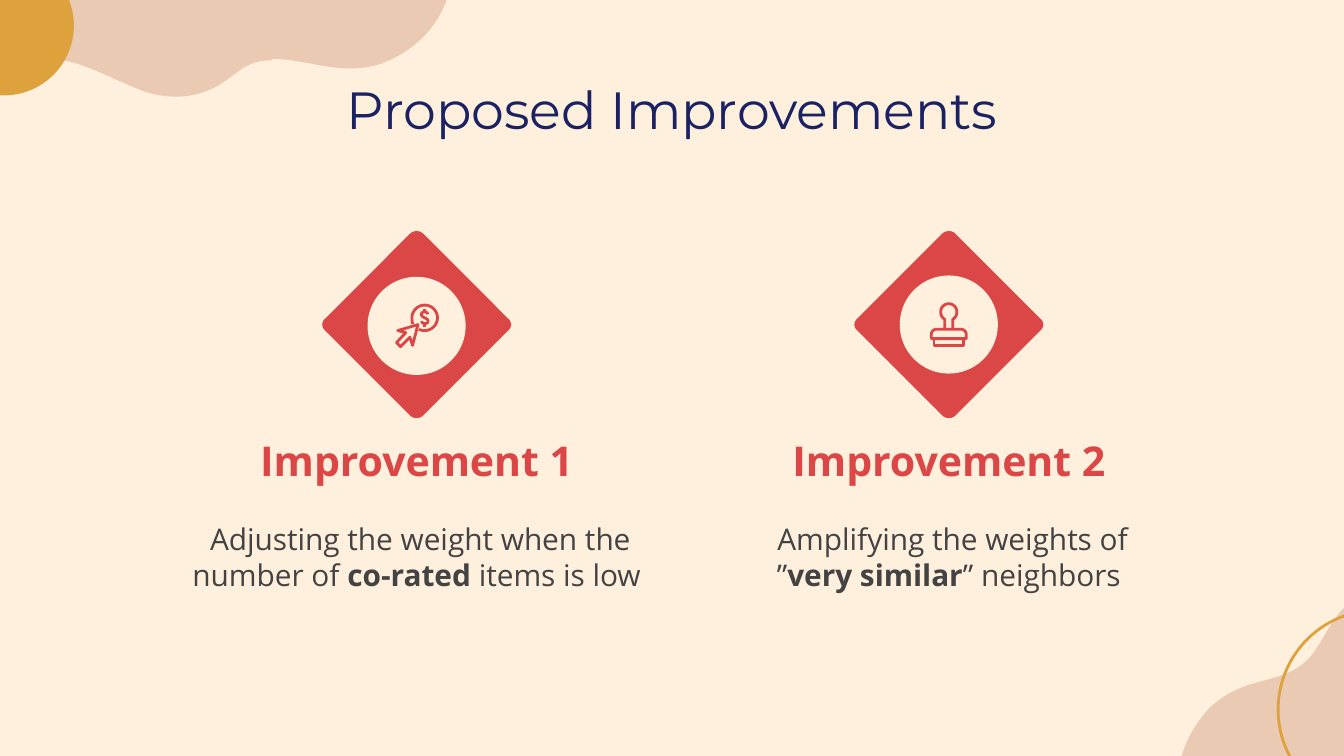
from pptx import Presentation
from pptx.dml.color import RGBColor
from pptx.enum.shapes import MSO_SHAPE as Preset
from pptx.enum.text import MSO_ANCHOR as Anchor, PP_ALIGN as Align
from pptx.util import Inches, Pt

COLORS = {
    "cream": "FFF0DE", "blush": "EBCAB3", "gold": "DEA23C",
    "red": "DB4646", "navy": "1A2263", "gray": "434343",
}
PAGE_WIDTH = Inches(10)
PAGE_HEIGHT = PAGE_WIDTH * 9 // 16
COLUMNS = 1000
UNIT = PAGE_WIDTH // COLUMNS
CURVE_STEPS = 12

TOP_WAVE = """M 132 72 C 142 72 153 69 162 64 C 177 55 183 45 201 45
C 202 45 202 44 203 44 C 223 44 241 51 260 51 C 268 51 277 50 285 47
C 310 37 326 20 334 -4 L -2 -4 L -2 52 C -1 52 -1 52 0 52
C 13 46 24 44 35 44 C 58 44 75 55 102 66 C 111 70 121 72 132 72 Z"""
CORNER_WAVE = """M 894 534 C 895 532 896 532 897 530 C 905 521 916 514 928 510
C 940 506 954 504 965 497 C 979 489 984 473 993 461 C 998 453 1006 446 1015 445
C 1034 444 1040 462 1041 477 C 1041 496 1032 515 1023 531
C 1014 546 1004 560 992 572 C 974 588 951 603 929 610
C 912 614 892 608 883 593 C 871 574 882 549 894 534 Z"""
DIAMOND = """M 0 -69.5 C -2 -69.5 -3.5 -69 -5 -67.5 L -68 -4.5
C -71 -2 -71 2 -68 4.5 L -5 67.5 C -3.5 69 -2 69.5 0 69.5
C 2 69.5 3.5 69 5 67.5 L 68 4.5 C 71 2 71 -2 68 -4.5 L 5 -67.5
C 3.5 -69 2 -69.5 0 -69.5 Z"""
STAMP = """M -3 3.5 L -3 -4 C -5 -5 -6 -7 -6 -9.5 C -6 -13 -3 -15.5 0 -15.5
C 3 -15.5 6 -13 6 -9.5 C 6 -7 5 -5 3 -4 L 3 3.5
M -13 10.5 L -13 7.5 C -13 5 -11 3.5 -9 3.5 L 9 3.5 C 11 3.5 13 5 13 7.5 L 13 10.5 Z
M -11 10.5 L -11 15.5 L 11 15.5 L 11 10.5"""
DOLLAR = """M 8.2 -8.5 C 8.2 -11 3.5 -11 3.5 -8.5 C 3.5 -6 8.5 -6 8.5 -3.5
C 8.5 -1 3.8 -1 3.8 -3.5 M 6 -12.5 L 6 -10.5 M 6 -1.5 L 6 0.5"""
COIN_CLICK = """M -3 -1.5 C -3.3 -3 -3.5 -4.5 -3.5 -6 C -3.5 -11.2 0.8 -15.5 6 -15.5
C 11.2 -15.5 15.5 -11.2 15.5 -6 C 15.5 -0.8 11.2 3.5 6 3.5 C 4.5 3.5 3 3.2 1.7 2.5
M 1 -1 L -14 3.5 L -8 5 L -15 12.5 L -12 15.5 L -5 8.5 L -3 14.5 Z"""


def paint(shape, fill=None, line=None):
    shape.shadow.inherit = False
    if fill:
        shape.fill.solid()
        shape.fill.fore_color.rgb = RGBColor.from_string(COLORS[fill])
    else:
        shape.fill.background()
    if line:
        shape.line.color.rgb = RGBColor.from_string(COLORS[line])
        shape.line.width = Pt(1.5)
    else:
        shape.line.fill.background()


def trace(outline):
    tokens = iter(outline.split())
    contours = []

    def point():
        return float(next(tokens)), float(next(tokens))

    for command in tokens:
        if command == "M":
            points = [point()]
            contours.append([points, False])
        elif command == "L":
            points.append(point())
        elif command == "C":
            knots = [points[-1], point(), point(), point()]
            for step in range(1, CURVE_STEPS + 1):
                t = step / CURVE_STEPS
                weights = ((1 - t) ** 3, 3 * t * (1 - t) ** 2, 3 * t * t * (1 - t), t ** 3)
                points.append(tuple(
                    sum(w * knot[axis] for w, knot in zip(weights, knots)) for axis in (0, 1)))
        else:
            contours[-1][1] = True
    return contours


def add_outline(page, outline, center=(0, 0), **style):
    builder = None
    for points, closed in trace(outline):
        placed = [((x + center[0]) * UNIT, (y + center[1]) * UNIT) for x, y in points]
        if builder is None:
            builder = page.shapes.build_freeform(*placed[0], scale=1.0)
        else:
            builder.move_to(*placed[0])
        builder.add_line_segments(placed[1:], close=closed)
    paint(builder.convert_to_shape(), **style)


def add_disc(page, center, radius, **style):
    left, top = (round((middle - radius) * UNIT) for middle in center)
    size = round(2 * radius * UNIT)
    paint(page.shapes.add_shape(Preset.OVAL, left, top, size, size), **style)


def add_text(page, box, runs, size, font, color):
    frame = page.shapes.add_textbox(*(round(length * UNIT) for length in box)).text_frame
    frame.word_wrap = True
    frame.vertical_anchor = Anchor.MIDDLE
    frame.margin_left = frame.margin_right = Inches(0.1)
    frame.margin_top = frame.margin_bottom = Inches(0.1)
    para = frame.paragraphs[0]
    para.alignment = Align.CENTER
    para.line_spacing = 1.0
    for text, bold in runs:
        span = para.add_run()
        span.text = text
        span.font.size = Pt(size)
        span.font.name = font
        span.font.bold = bold
        span.font.color.rgb = RGBColor.from_string(COLORS[color])


def add_backdrop(page):
    page.background.fill.solid()
    page.background.fill.fore_color.rgb = RGBColor.from_string(COLORS["cream"])
    add_outline(page, TOP_WAVE, fill="blush")
    add_outline(page, CORNER_WAVE, fill="blush")
    add_disc(page, (1025, 528), 74, line="gold")
    add_disc(page, (3, 19), 52, fill="gold")


def add_improvement(page, box, disc_drop, icon, heading, body):
    left, top, width, height = box
    center = left + width / 2
    middle = top + 69.5
    add_outline(page, DIAMOND, (center, middle), fill="red")
    add_disc(page, (center, middle + disc_drop), 36.5, fill="cream")
    for part in icon:
        add_outline(page, part, (center, middle + disc_drop), line="red")
    add_text(page, (left + (width - 261) / 2, top + 145.5, 261, 49),
             [(heading, True)], 22, "Open Sans", "red")
    add_text(page, (left, top + height - 112, width, 112), body, 16, "Open Sans", "gray")


def main():
    deck = Presentation()
    deck.slide_width, deck.slide_height = PAGE_WIDTH, PAGE_HEIGHT
    page = deck.slides.add_slide(deck.slide_layouts[6])
    add_backdrop(page)
    add_text(page, (78, 49, COLUMNS - 2 * 78, 63), [("Proposed Improvements", False)],
             28, "Montserrat", "navy")
    add_improvement(
        page, (130, 172, 360, 298), 1, [DOLLAR, COIN_CLICK], "Improvement 1",
        [(" Adjusting the weight when the number of ", False), ("co-rated", True),
         (" items is low", False)])
    add_improvement(
        page, (542, 172, 328, 298), 0, [STAMP], "Improvement 2",
        [(" Amplifying the weights of ”", False), ("very similar", True),
         ("” neighbors", False)])
    deck.save("out.pptx")


if __name__ == "__main__":
    main()
